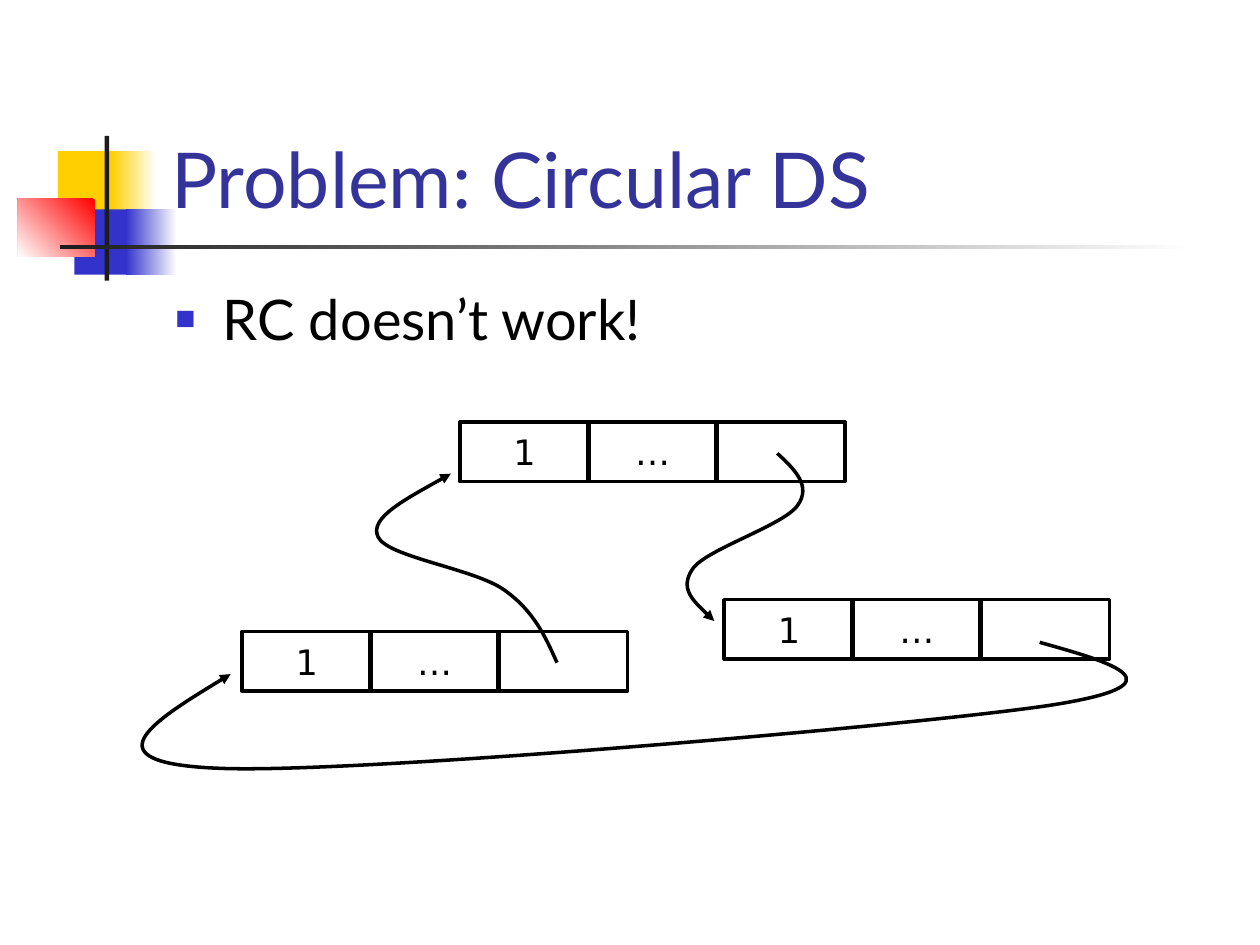
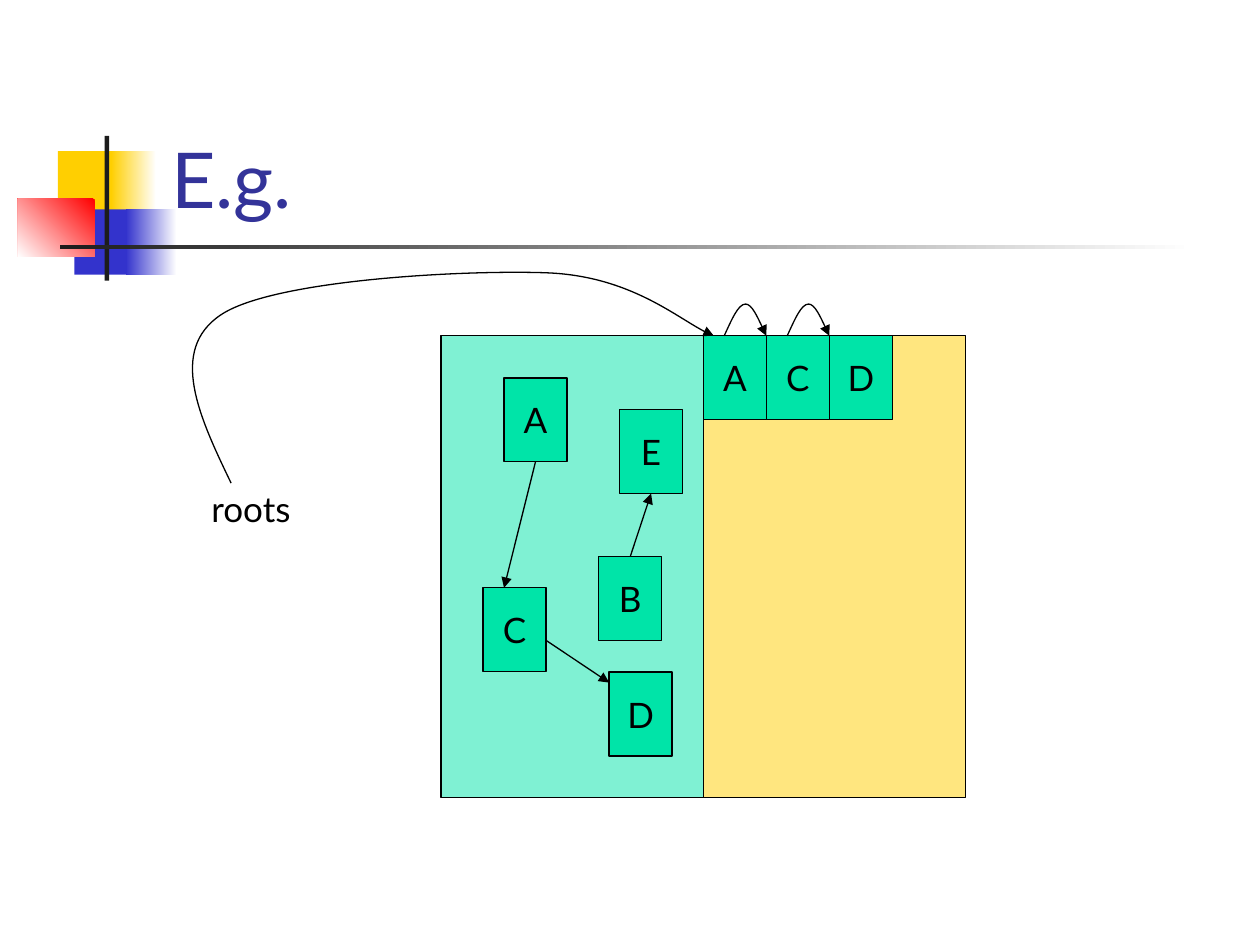
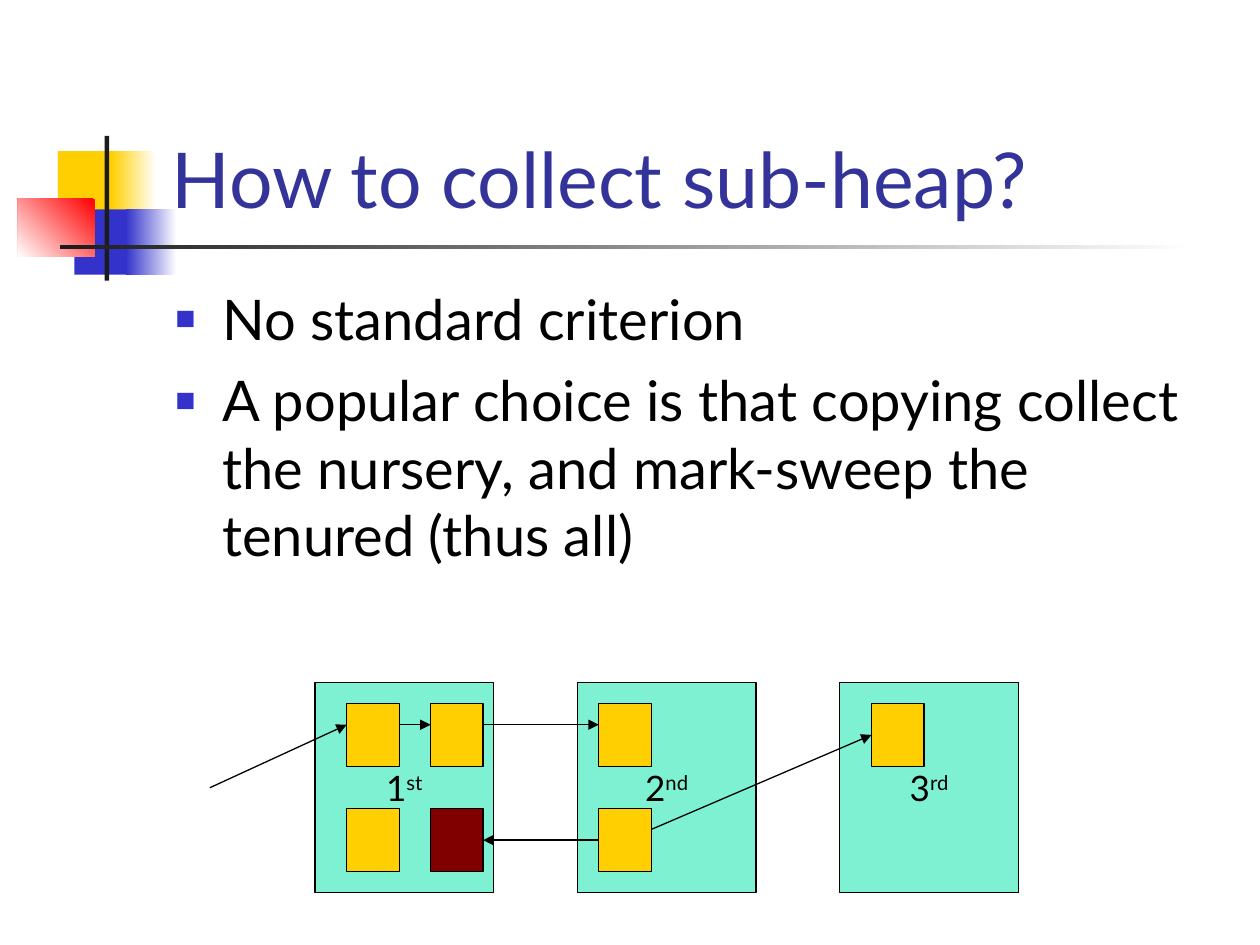
"""Build three slides on garbage collection: reference cycles, copying and sub-heaps."""
from lxml import etree
from pptx import Presentation
from pptx.dml.color import RGBColor
from pptx.enum import shapes, text
from pptx.oxml import ns
from pptx.util import Cm, Pt

COLORS = {
    "title": "333399", "ink": "000000", "bar": "1C1C1C", "yellow": "FFCF01",
    "blue": "3333CC", "red": "FF0000", "white": "FFFFFF", "green": "00E4A8",
    "garbage": "800000",
}
FONT, MONO = "Lato", "DejaVu Sans"
TITLE_BOX = (3.2, 0.58, 21.64, 4.06)
BODY_LEFT, BODY_TOP, BODY_WIDTH = 3.28, 5.61, 21.59

DECOR = [
    ((1.17, 3.05, 1.22, 1.32), ("yellow",), 0),
    ((2.24, 3.05, 0.91, 1.32), ("white", "yellow"), 180),
    ((1.5, 4.22, 1.17, 1.32), ("blue",), 0),
    ((2.54, 4.22, 1.02, 1.32), ("white", "blue"), 180),
    ((0.36, 4.01, 1.55, 1.17), ("red", "white"), 225),
    ((2.11, 2.74, 0.09, 2.92), ("bar",), 0),
    ((1.22, 4.94, 22.86, 0.09), ("white", "bar"), 180),
]

CYCLE_TITLE = "Problem: Circular DS"
CYCLE_BULLETS = ["RC doesn’t work!"]
NODE_FIELDS = ["1", "…", ""]
FIELD_W, FIELD_H, FIELD_STEP = 2.61, 1.2, 2.58
NODES = [(9.27, 8.51), (14.6, 12.09), (4.88, 12.73)]
POINTERS = [
    [(15.67, 9.14), (16.03, 9.47), (16.36, 9.8), (16.08, 10.19), (15.8, 10.59),
     (14.25, 11.07), (13.97, 11.46), (13.69, 11.86), (14.05, 12.19), (14.4, 12.52)],
    [(20.96, 12.95), (22.43, 13.36), (23.93, 13.79), (21.16, 14.22), (18.42, 14.63),
     (7.19, 15.6), (4.45, 15.49), (1.7, 15.39), (3.18, 14.48), (4.65, 13.59)],
    [(11.23, 13.36), (11, 12.85), (10.77, 12.32), (10.16, 11.89), (9.55, 11.46),
     (7.8, 11.23), (7.62, 10.82), (7.44, 10.44), (8.28, 10.01), (9.09, 9.55)],
]

COPY_TITLE = "E.g."
SPACE_X, SPACE_Y, SPACE_W, SPACE_H = 8.89, 6.77, 5.29, 9.31
SPACES = ["green", "yellow"]
OBJ_W, OBJ_H = 1.27, 1.69
OBJECTS = {"A": (10.16, 7.62), "B": (12.07, 11.22), "C": (9.74, 11.85),
           "D": (12.28, 13.55), "E": (12.49, 8.26)}
OBJECT_LINKS = [
    (("A", 2), (10.16, 11.85)),
    ((11.01, 12.91), (12.28, 13.76)),
    (("B", 0), ("E", 2)),
]
COPIES = ["A", "C", "D"]
HOP = [(0.42, 0), (0.57, -0.32), (0.7, -0.64), (0.85, -0.64),
       (0.98, -0.64), (1.21, -0.13), (1.27, 0)]
ROOTS_BOX = (4.01, 9.7, 2.11, 1.96)
ROOTS_POINTER = [
    (4.66, 9.74), (4.02, 8.41), (3.39, 7.06), (4.45, 6.35), (5.5, 5.64),
    (9.35, 5.44), (11.01, 5.5), (12.67, 5.56), (13.82, 6.55), (14.39, 6.77)]

HEAP_TITLE = "How to collect sub-heap?"
HEAP_BULLETS = [
    "No standard criterion",
    "A popular choice is that copying collect the nursery, "
    "and mark-sweep the tenured (thus all)",
]
GENERATIONS = [("1", "st"), ("2", "nd"), ("3", "rd")]
GEN_X, GEN_Y, GEN_W, GEN_H, GEN_STEP = 6.35, 13.76, 3.6, 4.23, 5.29
CELL_W, CELL_H, TOP_ROW, LOW_ROW = 1.06, 1.27, 14.18, 16.3
CELLS = {
    "first": (6.99, TOP_ROW, "yellow"), "second": (8.68, TOP_ROW, "yellow"),
    "idle": (6.99, LOW_ROW, "yellow"), "dead": (8.68, LOW_ROW, "garbage"),
    "third": (12.07, TOP_ROW, "yellow"), "old": (12.07, LOW_ROW, "yellow"),
    "oldest": (17.57, TOP_ROW, "yellow"),
}
CELL_LINKS = [
    ((4.23, 15.88), (6.99, 14.61)),
    ((8.05, 14.61), (8.68, 14.61)),
    ((9.74, 14.61), (12.07, 14.61)),
    ((13.13, 16.72), ("oldest", 1)),
    (("old", 1), ("dead", 3)),
]


def rgb(name):
    return RGBColor.from_string(COLORS[name])


def add_xml(parent, tag, **attrs):
    return etree.SubElement(parent, ns.qn(tag), attrs)


def add_run(p, words, size, color="ink", font=FONT):
    r = p.add_run()
    r.text = words
    r.font.size, r.font.name = Pt(size), font
    r.font.color.rgb = rgb(color)
    return r


def set_line(s, width, arrow=False):
    s.line.color.rgb = rgb("ink")
    s.line.width = Pt(width)
    if arrow:
        add_xml(s.element.spPr.find(ns.qn("a:ln")), "a:tailEnd", type="triangle")


def add_rect(parent, box, fill=None, width=0.75, words=(), font=FONT, alpha=None):
    s = parent.add_shape(shapes.MSO_SHAPE.RECTANGLE, *map(Cm, box))
    s.shadow.inherit = False
    if fill:
        s.fill.solid()
        s.fill.fore_color.rgb = rgb(fill)
    else:
        s.fill.background()
    if alpha:
        solid = s.element.spPr.find(ns.qn("a:solidFill"))
        add_xml(solid[0], "a:alpha", val=str(alpha * 1000))
    if width:
        set_line(s, width)
    else:
        s.line.fill.background()
    tf = s.text_frame
    tf.word_wrap = False
    tf.vertical_anchor = text.MSO_ANCHOR.MIDDLE
    p = tf.paragraphs[0]
    p.alignment = text.PP_ALIGN.CENTER
    for i, part in enumerate(words):
        r = add_run(p, part, 20, font=font)
        if i:
            r.font.element.set("baseline", "30000") if hasattr(r.font, "element") \
                else p.runs[i]._r.get_or_add_rPr().set("baseline", "30000")
    return s


def add_curve(slide, points, width=0.75):
    start, *rest = [(Cm(x), Cm(y)) for x, y in points]
    builder = slide.shapes.build_freeform(*start)
    builder.add_line_segments(rest, close=False)
    s = builder.convert_to_shape()
    s.shadow.inherit = False
    s.fill.background()
    set_line(s, width, arrow=True)
    geometry = next(s.element.iter(ns.qn("a:path")))
    steps = geometry.findall(ns.qn("a:lnTo"))
    for i in range(0, len(steps), 3):
        bezier = add_xml(geometry, "a:cubicBezTo")
        for step in steps[i:i + 3]:
            bezier.append(step[0])
            geometry.remove(step)


def add_links(slide, links, targets):
    for ends in links:
        points = [(0, 0) if end[0] in targets else tuple(map(Cm, end)) for end in ends]
        s = slide.shapes.add_connector(
            shapes.MSO_CONNECTOR.STRAIGHT, *points[0], *points[1])
        for end, join in zip(ends, (s.begin_connect, s.end_connect)):
            if end[0] in targets:
                join(targets[end[0]], end[1])
        set_line(s, 0.75, arrow=True)
        add_xml(s.element.spPr, "a:effectLst")


def place(s, box):
    s.left, s.top, s.width, s.height = map(Cm, box)
    tf = s.text_frame
    tf.auto_size = text.MSO_AUTO_SIZE.NONE
    tf.word_wrap = True
    return tf


def add_slide(prs, title, bullets=(), body_height=0):
    slide = prs.slides.add_slide(prs.slide_layouts[1 if bullets else 5])
    tf = place(slide.shapes.title, TITLE_BOX)
    tf.vertical_anchor = text.MSO_ANCHOR.BOTTOM
    p = tf.paragraphs[0]
    p.alignment = text.PP_ALIGN.LEFT
    add_run(p, title, 44, "title")
    if bullets:
        tf = place(slide.placeholders[1],
                   (BODY_LEFT, BODY_TOP, BODY_WIDTH, body_height))
        tf.vertical_anchor = text.MSO_ANCHOR.TOP
    for i, words in enumerate(bullets):
        p = tf.add_paragraph() if i else tf.paragraphs[0]
        pPr = p._p.get_or_add_pPr()
        pPr.set("marL", str(Cm(0.95)))
        pPr.set("indent", str(-Cm(0.95)))
        add_xml(add_xml(pPr, "a:buClr"), "a:srgbClr", val=COLORS["blue"])
        add_xml(pPr, "a:buSzPct", val="60000")
        add_xml(pPr, "a:buChar", char="■")
        p.space_before = Pt(8 if i else 0)
        add_run(p, words, 32)
    return slide


def decorate_master(prs, slide):
    tree = prs.slide_master.shapes.element
    for i, (box, fills, angle) in enumerate(DECOR):
        s = add_rect(slide.shapes, box, fills[0], width=0)
        if len(fills) > 1:
            s.fill.gradient()
            s.fill.gradient_angle = angle
            for stop, fill, position in zip(s.fill.gradient_stops, fills, (0, 1)):
                stop.color.rgb = rgb(fill)
                stop.position = position
        s.element.nvSpPr.cNvPr.set("id", str(100 + i))
        tree.insert(2 + i, s.element)


def build_cycle(prs):
    slide = add_slide(prs, CYCLE_TITLE, CYCLE_BULLETS, 2.24)
    decorate_master(prs, slide)
    for x, y in NODES:
        group = slide.shapes.add_group_shape()
        for i, field in enumerate(NODE_FIELDS):
            add_rect(group.shapes, (x + i * FIELD_STEP, y, FIELD_W, FIELD_H),
                     width=2, words=[field] if field else [], font=MONO)
    for points in POINTERS:
        add_curve(slide, points, 2)


def build_copying(prs):
    slide = add_slide(prs, COPY_TITLE)
    for i, fill in enumerate(SPACES):
        add_rect(slide.shapes, (SPACE_X + i * SPACE_W, SPACE_Y, SPACE_W, SPACE_H),
                 fill, alpha=50)
    objects = {name: add_rect(slide.shapes, (x, y, OBJ_W, OBJ_H), "green", words=[name])
               for name, (x, y) in OBJECTS.items()}
    add_links(slide, OBJECT_LINKS, objects)
    s = slide.shapes.add_textbox(*map(Cm, ROOTS_BOX))
    s.text_frame.word_wrap = False
    add_run(s.text_frame.paragraphs[0], "roots", 20)
    lefts = [SPACE_X + SPACE_W + i * OBJ_W for i in range(len(COPIES))]
    for x, name in zip(lefts, COPIES):
        add_rect(slide.shapes, (x, SPACE_Y, OBJ_W, OBJ_H), "green", words=[name])
    add_curve(slide, ROOTS_POINTER)
    for x in lefts[:-1]:
        add_curve(slide, [(x + dx, SPACE_Y + dy) for dx, dy in HOP])


def build_generations(prs):
    slide = add_slide(prs, HEAP_TITLE, HEAP_BULLETS, 11.43)
    for i, words in enumerate(GENERATIONS):
        add_rect(slide.shapes, (GEN_X + i * GEN_STEP, GEN_Y, GEN_W, GEN_H),
                 "green", words=words, alpha=50)
    cells = {name: add_rect(slide.shapes, (x, y, CELL_W, CELL_H), fill)
             for name, (x, y, fill) in CELLS.items()}
    add_links(slide, CELL_LINKS, cells)


def main():
    prs = Presentation()
    prs.slide_width, prs.slide_height = Cm(25.4), Cm(19.05)
    build_cycle(prs)
    build_copying(prs)
    build_generations(prs)
    prs.save("out.pptx")


if __name__ == "__main__":
    main()
